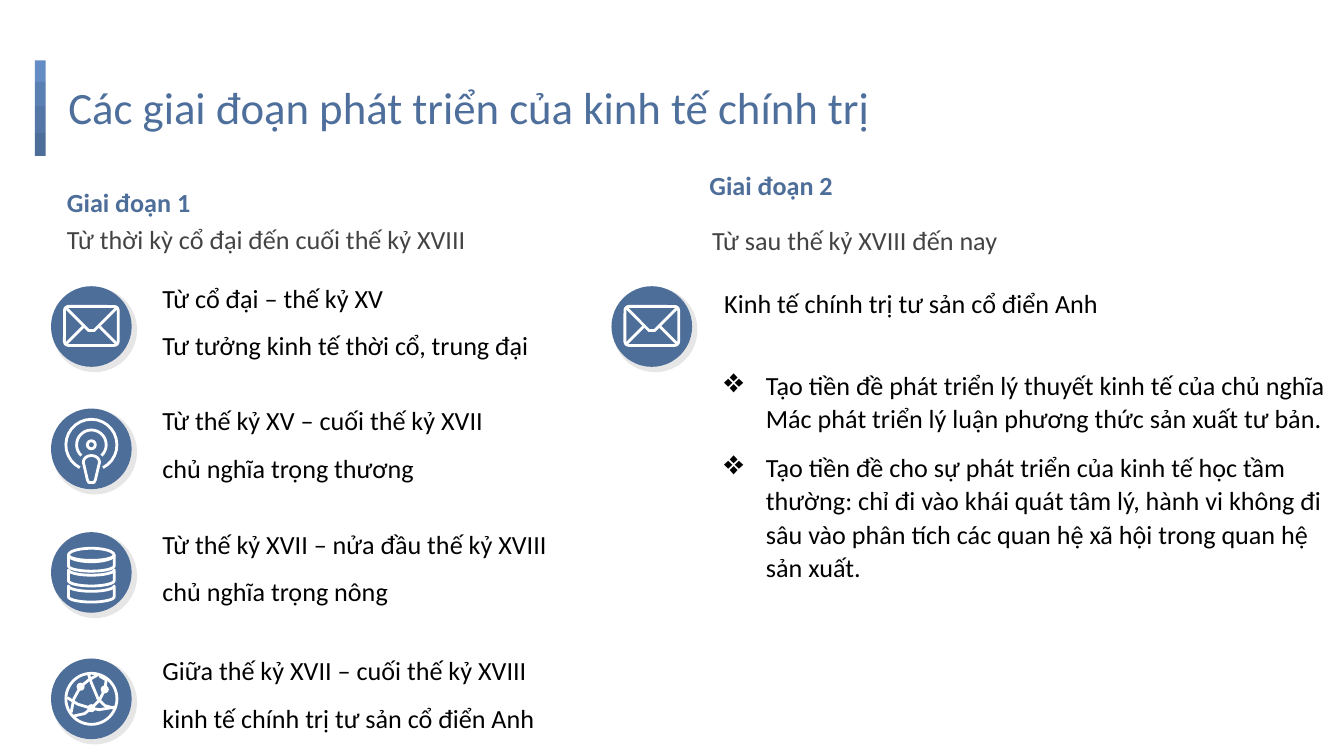
from math import cos, radians, sin

from lxml import etree
from pptx import Presentation
from pptx.dml.color import RGBColor
from pptx.enum.shapes import MSO_SHAPE
from pptx.enum.text import MSO_ANCHOR
from pptx.oxml.ns import qn
from pptx.util import Inches, Pt

RECT, OVAL, ROUNDED = MSO_SHAPE.RECTANGLE, MSO_SHAPE.OVAL, MSO_SHAPE.ROUNDED_RECTANGLE
TOP, MIDDLE = MSO_ANCHOR.TOP, MSO_ANCHOR.MIDDLE
FONT = "Calibri"
COLORS = {"title": "4E6F9B", "blue": "4E6E9A", "gray": "434343", "black": "000000",
          "white": "FFFFFF", "shadow": "595959"}
BAR = [("648DC6", 0.16), ("5A7FB3", 0.18), ("5477A7", 0.2), ("4E6E9A", 0.17)]
BADGE = 0.6
POINTS = [
    "Tạo tiền đề phát triển lý thuyết kinh tế của chủ nghĩa Mác phát triển lý luận "
    "phương thức sản xuất tư bản.",
    "Tạo tiền đề cho sự phát triển của kinh tế học tầm thường: chỉ đi vào khái quát "
    "tâm lý, hành vi không đi sâu vào phân tích các quan hệ xã hội trong quan hệ sản xuất.",
]


def rgb(name):
    """Return the named colour."""
    return RGBColor.from_string(COLORS[name])


def add_text(page, box, lines, color="black", size=14, bold=False, anchor=TOP, bullet=None):
    """Write one paragraph per line into a text box."""
    frame = page.shapes.add_textbox(*map(Inches, box)).text_frame
    frame.word_wrap = True
    frame.vertical_anchor = anchor
    frame.margin_left = frame.margin_right = Inches(0.1)
    frame.margin_top = frame.margin_bottom = Inches(0.1)
    for index, line in enumerate(lines):
        para = frame.paragraphs[0] if index == 0 else frame.add_paragraph()
        if bullet:
            para.line_spacing, para.space_after = 1.07, Pt(8)
            props = para._p.get_or_add_pPr()
            props.set("marL", str(Inches(0.31)))
            props.set("indent", str(-Inches(0.31)))
            etree.SubElement(props, qn("a:buSzPct")).set("val", "130000")
            etree.SubElement(props, qn("a:buChar")).set("char", bullet)
        span = para.add_run()
        span.text = line
        span.font.name, span.font.size, span.font.bold = FONT, Pt(size), bold
        span.font.color.rgb = rgb(color)


def add_solid(page, kind, box, color):
    """Add a filled preset shape without outline."""
    shape = page.shapes.add_shape(kind, *map(Inches, box))
    shape.shadow.inherit = False
    shape.fill.solid()
    shape.fill.fore_color.rgb = color
    shape.line.fill.background()
    return shape


def outline(shape):
    """Give a shape a white outline and no fill."""
    shape.shadow.inherit = False
    shape.fill.background()
    shape.line.color.rgb = rgb("white")
    shape.line.width = Pt(1.5)


def add_stroke(page, center, points, close=False):
    """Draw a white line through points given from a center."""
    spots = [(Inches(center[0] + x), Inches(center[1] + y)) for x, y in points]
    builder = page.shapes.build_freeform(*spots[0])
    builder.add_line_segments(spots[1:], close=close)
    outline(builder.convert_to_shape())


def add_ring(page, center, y, rx, ry):
    """Draw a white ellipse outline at a height from a center."""
    box = (center[0] - rx, center[1] + y - ry, 2 * rx, 2 * ry)
    outline(page.shapes.add_shape(OVAL, *map(Inches, box)))


def arc(y, rx, ry, start, end, steps=24):
    """Return points on an elliptical arc, angles running clockwise from the right."""
    angles = [radians(start + (end - start) * step / steps) for step in range(steps + 1)]
    return [(rx * cos(angle), y + ry * sin(angle)) for angle in angles]


def draw_envelope(page, center):
    """Draw the envelope icon."""
    box = (center[0] - 0.2, center[1] - 0.15, 0.4, 0.29)
    shape = page.shapes.add_shape(ROUNDED, *map(Inches, box))
    shape.adjustments[0] = 0.1
    outline(shape)
    add_stroke(page, center, [(-0.19, -0.14), (-0.02, 0.03), (0.02, 0.03), (0.19, -0.14)])
    for side in (-1, 1):
        add_stroke(page, center, [(side * 0.19, 0.13), (side * 0.06, 0)])


def draw_podcast(page, center):
    """Draw the podcast icon."""
    add_ring(page, center, -0.03, 0.03, 0.03)
    for radius, gap in ((0.19, 27), (0.11, 43)):
        add_stroke(page, center, arc(-0.03, radius, radius, 90 + gap, 450 - gap))
    microphone = arc(0.1, 0.06, 0.05, 180, 360) + [(0.03, 0.23), (0.02, 0.25),
                                                   (-0.02, 0.25), (-0.03, 0.23)]
    add_stroke(page, center, microphone, close=True)


def draw_database(page, center):
    """Draw the stacked discs icon."""
    add_ring(page, center, -0.13, 0.17, 0.05)
    for y in (-0.13, -0.02, 0.1):
        tier = arc(y, 0.17, 0.04, 0, 180) + arc(y + 0.08, 0.17, 0.04, 180, 0)
        add_stroke(page, center, tier, close=True)


def draw_globe(page, center):
    """Draw the network globe icon."""
    add_ring(page, center, 0, 0.19, 0.19)
    routes = [
        [(-0.02, -0.18), (0, -0.12), (0.05, 0), (0.1, 0.05), (0.17, 0.07)],
        [(0.05, -0.18), (-0.02, -0.14), (-0.08, -0.09), (-0.13, 0), (-0.15, 0.1)],
        [(-0.18, -0.01), (-0.1, 0.04), (0, 0.07), (0.06, 0.08), (0.18, 0.06)],
        [(0.06, -0.17), (0.11, -0.14), (0.1, -0.07), (0.06, 0.01), (0, 0.07),
         (-0.05, 0.11), (-0.14, 0.13)],
    ]
    for route in routes:
        add_stroke(page, center, route)
    for x, y in ((0, 0.07), (-0.08, -0.09), (0.1, -0.07)):
        box = (center[0] + x - 0.03, center[1] + y - 0.03, 0.06, 0.06)
        add_solid(page, OVAL, box, rgb("white"))


def add_badge(page, left, top, draw_icon):
    """Place a round badge with its soft shadow and icon."""
    shadow = add_solid(page, OVAL, (left + 0.01, top + 0.01, 0.63, 0.63), rgb("shadow"))
    tint = next(shadow._element.iter(qn("a:srgbClr")))
    etree.SubElement(tint, qn("a:alpha")).set("val", "15000")
    add_solid(page, OVAL, (left, top, BADGE, BADGE), rgb("blue"))
    draw_icon(page, (left + BADGE / 2, top + BADGE / 2))


def add_header(page, left, top):
    """Place the accent bar and the slide title."""
    y = top
    for shade, height in BAR:
        add_solid(page, RECT, (left, y, 0.08, height), RGBColor.from_string(shade))
        y += height
    add_text(page, (left + 0.15, top + 0.04, 9.25, 0.63),
             ["Các giai đoạn phát triển của kinh tế chính trị"], "title", 24)


def add_first_phase(page, left, top):
    """Place the first phase with its four dated schools."""
    add_text(page, (left, top, 2.13, 0.48), ["Giai đoạn 1"], "blue", bold=True)
    add_text(page, (left, top + 0.27, 3.32, 0.48),
             ["Từ thời kỳ cổ đại đến cuối thế kỷ XVIII"], "gray")
    rows = [
        (0.84, draw_envelope, "Từ cổ đại – thế kỷ XV", "Tư tưởng kinh tế thời cổ, trung đại"),
        (1.75, draw_podcast, "Từ thế kỷ XV – cuối thế kỷ XVII", "chủ nghĩa trọng thương"),
        (2.67, draw_database, "Từ thế kỷ XVII – nửa đầu thế kỷ XVIII", "chủ nghĩa trọng nông"),
        (3.61, draw_globe, "Giữa thế kỷ XVII – cuối thế kỷ XVIII",
         "kinh tế chính trị tư sản cổ điển Anh"),
    ]
    for offset, draw_icon, period, school in rows:
        y = top + offset
        add_badge(page, left - 0.02, y, draw_icon)
        add_text(page, (left + 0.71, y - 0.1, 3.42, 0.37), [period], anchor=MIDDLE)
        add_text(page, (left + 0.71, y + 0.14, 4.71, 0.6), [school], anchor=MIDDLE)


def add_second_phase(page, left, top):
    """Place the second phase with its school and bullet points."""
    add_text(page, (left + 0.63, top, 3, 0.38), ["Giai đoạn 2"], "blue", bold=True)
    add_text(page, (left + 0.65, top + 0.41, 3, 0.38), ["Từ sau thế kỷ XVIII đến nay"], "gray")
    add_badge(page, left, top + 0.97, draw_envelope)
    add_text(page, (left + 0.74, top + 0.82, 3.79, 0.55),
             ["Kinh tế chính trị tư sản cổ điển Anh"], anchor=MIDDLE)
    add_text(page, (left + 0.74, top + 1.45, 4.71, 1.85), POINTS, anchor=MIDDLE, bullet="❖")


def main():
    """Build the slide and save the deck."""
    deck = Presentation()
    deck.slide_width = Inches(10)
    deck.slide_height = deck.slide_width * 9 // 16
    page = deck.slides.add_slide(deck.slide_layouts[6])
    add_header(page, 0.26, 0.45)
    add_first_phase(page, 0.4, 1.29)
    add_second_phase(page, 4.55, 1.16)
    deck.save("out.pptx")


if __name__ == "__main__":
    main()
